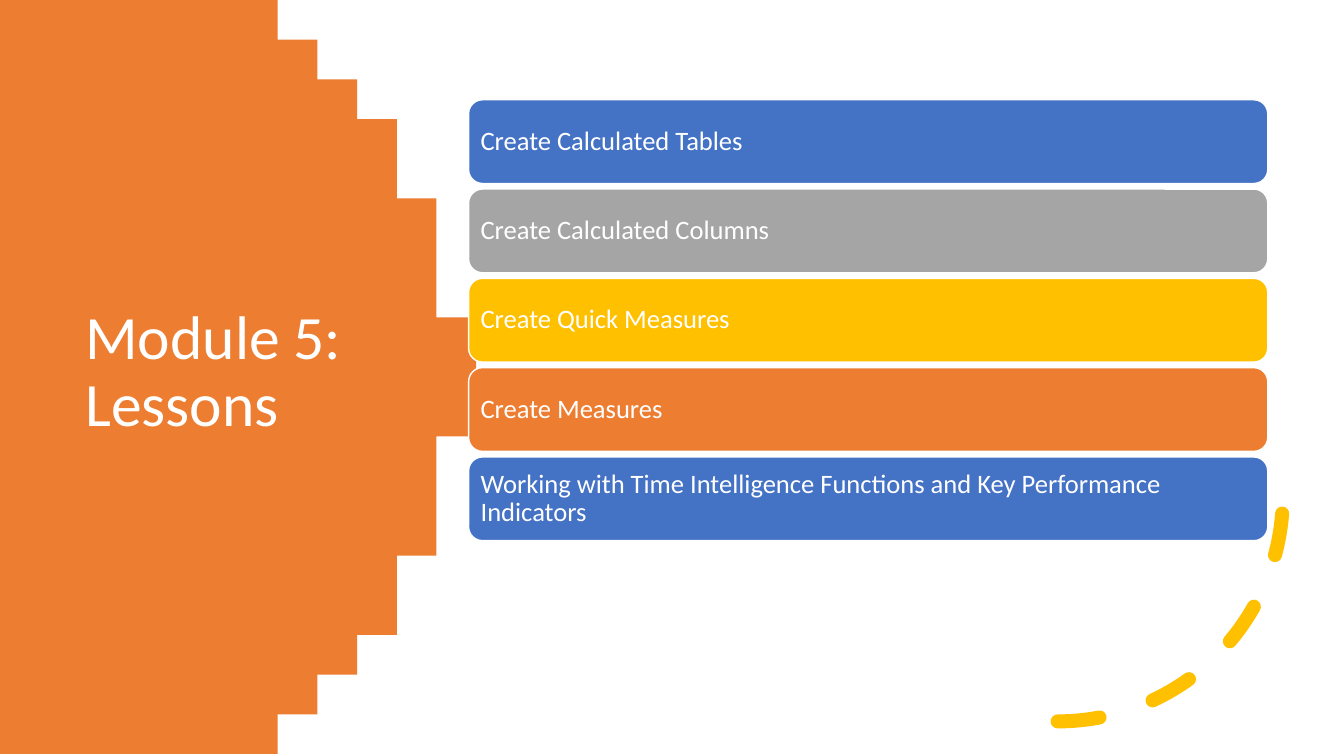
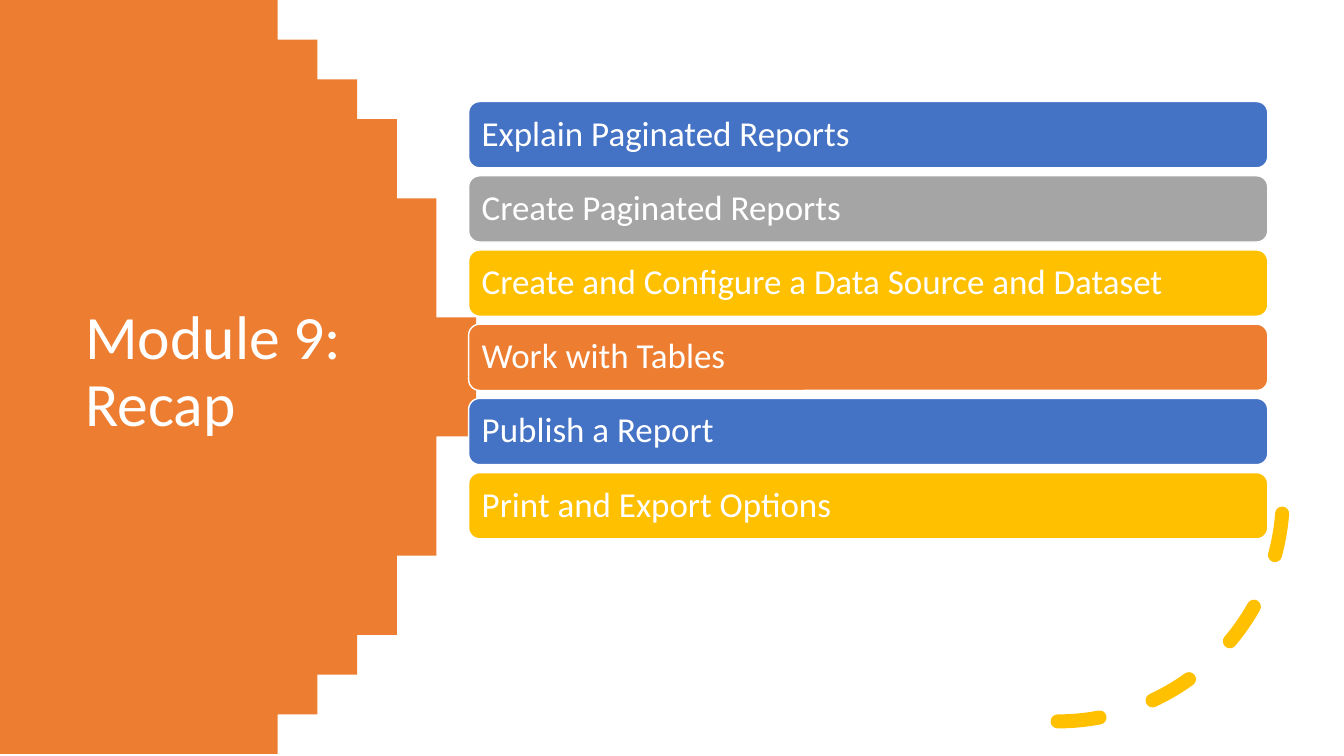
from dataclasses import dataclass
from math import asin, cos, sin

from pptx import Presentation
from pptx.dml.color import RGBColor
from pptx.enum.dml import MSO_LINE_DASH_STYLE as Dash
from pptx.enum.shapes import MSO_SHAPE as Shape
from pptx.enum.text import MSO_ANCHOR as Anchor, PP_ALIGN as Align
from pptx.util import Cm, Pt

BLANK_LAYOUT = 6
SLIDE_WIDTH, SLIDE_HEIGHT = 33.87, 19.05


@dataclass(frozen=True)
class Theme:
    """Colours, font and type sizes shared by the slides."""

    font: str = "Calibri"
    white: str = "FFFFFF"
    blue: str = "4472C4"
    grey: str = "A5A5A5"
    gold: str = "FFC000"
    orange: str = "ED7D31"
    title_size: int = 44
    bar_line: float = 1
    arc_line: float = 10
    line_spacing: float = 0.9

    @property
    def bar_colours(self):
        """Return the bar fills from top to bottom."""
        return self.blue, self.grey, self.gold, self.orange, self.blue, self.gold


def apply(target, values):
    """Set each named attribute on the target."""
    for name, value in values.items():
        setattr(target, name, value)


class Deck:
    """Draws module slides in one style and keeps the current slide."""

    def __init__(self, theme):
        """Start an empty widescreen presentation."""
        self.theme = theme
        self.presentation = Presentation()
        apply(self.presentation, {
            "slide_width": Cm(SLIDE_WIDTH),
            "slide_height": Cm(SLIDE_HEIGHT),
        })
        self.slide = None

    def add_slide(self):
        """Add a blank slide and make it current."""
        layout = self.presentation.slide_layouts[BLANK_LAYOUT]
        self.slide = self.presentation.slides.add_slide(layout)

    def paint(self, shape, fill=None, line=None, width=0):
        """Apply a flat fill and an outline, or none."""
        shape.shadow.inherit = False
        for part, colour in ((shape.fill, fill), (shape.line.fill, line)):
            if colour:
                part.solid()
                part.fore_color.rgb = RGBColor.from_string(colour)
            else:
                part.background()
        if line:
            shape.line.width = Pt(width)

    def set_text(self, shape, text, size, **frame_format):
        """Set one left-aligned white paragraph, centred vertically."""
        frame = shape.text_frame
        apply(frame, {"word_wrap": True, "vertical_anchor": Anchor.MIDDLE, **frame_format})
        paragraph = frame.paragraphs[0]
        apply(paragraph, {
            "text": text,
            "alignment": Align.LEFT,
            "line_spacing": self.theme.line_spacing,
        })
        font = paragraph.runs[0].font
        apply(font, {"name": self.theme.font, "size": Pt(size)})
        font.color.rgb = RGBColor.from_string(self.theme.white)

    def panel(self, centre_x=0.38, radius=11.2, steps=80):
        """Draw the left panel, bounded by a circle."""
        middle = SLIDE_HEIGHT / 2
        limit = asin(middle / radius)
        angles = [limit * (2 * step / steps - 1) for step in range(steps + 1)]
        edge = [(centre_x + radius * cos(angle), middle + radius * sin(angle))
                for angle in angles]
        builder = self.slide.shapes.build_freeform(0, 0, scale=Cm(1))
        builder.add_line_segments([*edge, (0, SLIDE_HEIGHT)], close=True)
        self.paint(builder.convert_to_shape(), fill=self.theme.orange)

    def title(self, text):
        """Put the slide title on the panel."""
        box = self.slide.shapes.add_textbox(Cm(1.9), Cm(3.2), Cm(8.9), Cm(12.4))
        self.set_text(box, text, self.theme.title_size)

    def dashed_arc(self):
        """Draw the dashed quarter circle at the lower right."""
        arc = self.slide.shapes.add_shape(Shape.ARC, Cm(20.98), Cm(6.83), Cm(11.35), Cm(11.35))
        self.paint(arc, line=self.theme.gold, width=self.theme.arc_line)
        arc.line.dash_style = Dash.DASH
        properties = arc.element.spPr
        properties.xfrm.set("flipV", "1")
        properties.ln.set("cap", "rnd")

    def bars(self, texts, size, height, gap, inset, middle=8.07):
        """Stack one rounded bar per text around a middle height."""
        pitch = height + gap
        top = middle - (len(texts) * pitch - gap) / 2
        margins = {f"margin_{side}": Cm(inset) for side in ("left", "right", "top", "bottom")}
        for row, (text, colour) in enumerate(zip(texts, self.theme.bar_colours)):
            bar = self.slide.shapes.add_shape(
                Shape.ROUNDED_RECTANGLE,
                Cm(11.81), Cm(top + row * pitch), Cm(20.14), Cm(height))
            self.paint(bar, colour, self.theme.white, self.theme.bar_line)
            self.set_text(bar, text, size, **margins)

    def module_slide(self, title, texts, **bar_format):
        """Build a complete slide with a title and a list of bars."""
        self.add_slide()
        self.panel()
        self.title(title)
        self.dashed_arc()
        self.bars(texts, **bar_format)


def main():
    """Build and save the presentation."""
    deck = Deck(Theme())
    deck.module_slide("Module 5: Lessons", [
        "Create Calculated Tables",
        "Create Calculated Columns",
        "Create Quick Measures",
        "Create Measures",
        "Working with Time Intelligence Functions and Key Performance Indicators",
    ], size=19, height=2.11, gap=0.14, inset=0.2)
    deck.module_slide("Module 9: Recap", [
        "Explain Paginated Reports",
        "Create Paginated Reports",
        "Create and Configure a Data Source and Dataset",
        "Work with Tables",
        "Publish a Report",
        "Print and Export Options",
    ], size=25, height=1.67, gap=0.2, inset=0.25)
    deck.presentation.save("out.pptx")


if __name__ == "__main__":
    main()
